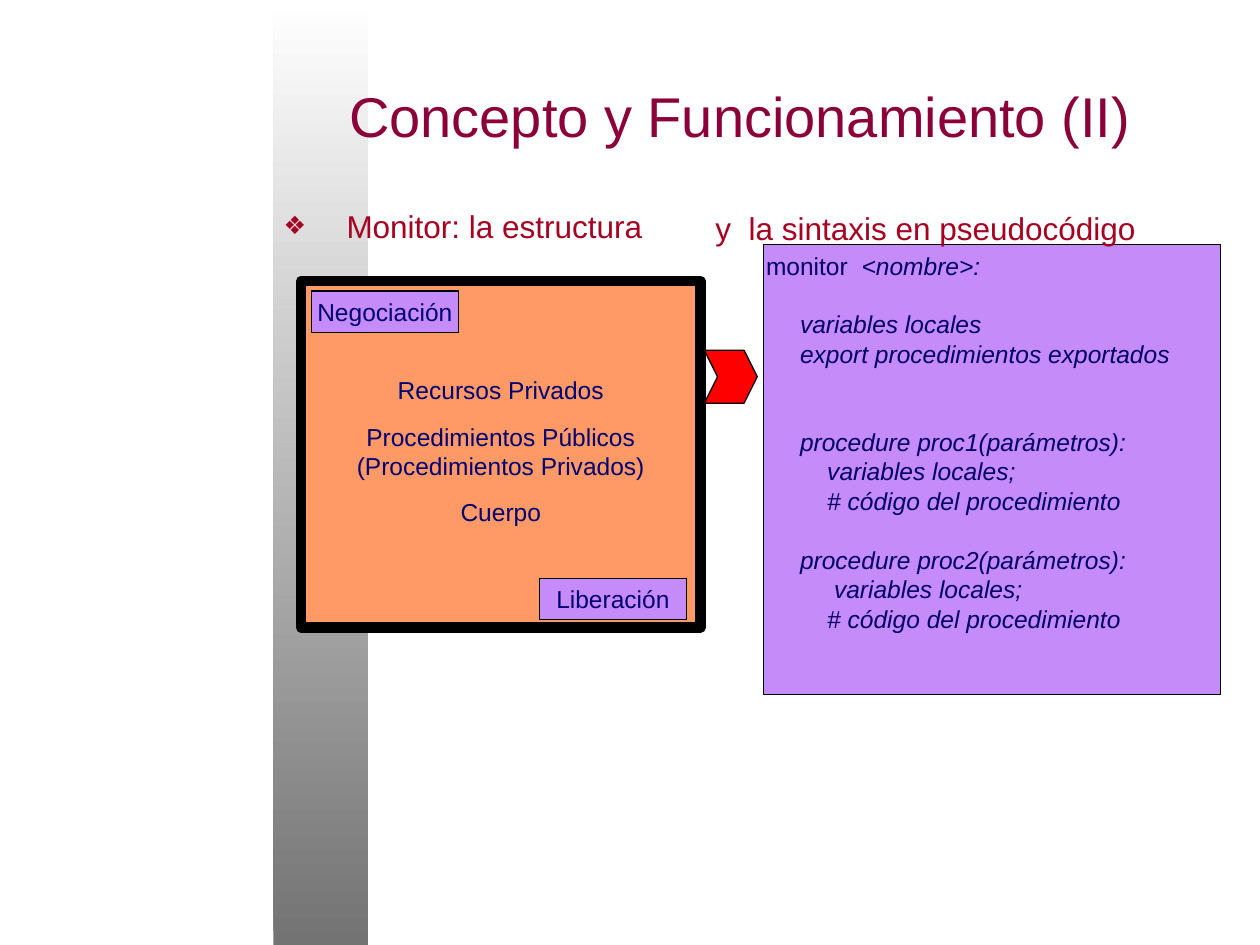
"""Builds the slide on the structure and pseudocode of a monitor."""
from lxml import etree
from pptx import Presentation
from pptx import util as u
from pptx.dml.color import RGBColor
from pptx.enum import shapes, text
from pptx.oxml.ns import qn

WINE, RED, NAVY, INDIGO = "8C0039", "A50021", "000066", "000072"
LILAC, ORANGE, BLACK = "C58BF9", "FF9966", "000000"
LINE = 16.8


def rgb(value):
    return RGBColor.from_string(value)


def write(p, content, size=14, color=NAVY, italic=False, font="Arial"):
    r = p.add_run()
    r.text = content
    r.font.name, r.font.size = font, u.Pt(size)
    r.font.italic, r.font.color.rgb = italic, rgb(color)


class Deck:
    COLS, ROWS = 100, 75

    def __init__(self, width=10, height=7.5):
        self.prs = Presentation()
        self.prs.slide_width, self.prs.slide_height = u.Inches(width), u.Inches(height)
        self.s = self.prs.slides.add_slide(self.prs.slide_layouts[1])

    def box(self, left, top, width, height):
        col = self.prs.slide_width / self.COLS
        row = self.prs.slide_height / self.ROWS
        return [round(n) for n in (left * col, top * row, width * col, height * row)]

    def frame(self, sp, anchor="TOP", side=0.1, top=0.05):
        tf = sp.text_frame
        tf.word_wrap, tf.auto_size = True, text.MSO_AUTO_SIZE.NONE
        tf.vertical_anchor = text.MSO_ANCHOR[anchor]
        tf.margin_left = tf.margin_right = u.Inches(side)
        tf.margin_top, tf.margin_bottom = u.Inches(top), u.Inches(0.05)
        return tf

    def lines(self, tf, rows, align="LEFT", **fmt):
        for i, (before, content) in enumerate(rows):
            p = tf.add_paragraph() if i else tf.paragraphs[0]
            p.alignment = text.PP_ALIGN[align]
            p.space_before = u.Pt(before)
            write(p, content, **fmt)

    def place(self, sp, at):
        sp.left, sp.top, sp.width, sp.height = self.box(*at)
        return sp

    def title(self, content, at):
        sp = self.place(self.s.shapes.title, at)
        self.lines(self.frame(sp, "MIDDLE"), [(0, content)], size=32, color=WINE)

    def bullet(self, content, at):
        sp = self.place(self.s.placeholders[1], at)
        tf = self.frame(sp)
        pPr = tf.paragraphs[0]._p.get_or_add_pPr()
        pPr.set("marL", str(u.Inches(0.5)))
        pPr.set("indent", str(-u.Inches(0.5)))
        color = etree.SubElement(pPr, qn("a:buClr"))
        etree.SubElement(color, qn("a:srgbClr"), val=RED)
        etree.SubElement(pPr, qn("a:buSzPct"), val="80000")
        etree.SubElement(pPr, qn("a:buFont"), typeface="Arial")
        etree.SubElement(pPr, qn("a:buChar"), char="❖")
        self.lines(tf, [(0, content)], size=18, color=RED)

    def label(self, content, at):
        sp = self.s.shapes.add_textbox(*self.box(*at))
        self.lines(self.frame(sp), [(0, content)], size=18, color=RED)

    def shape(self, at, fill, kind="RECTANGLE", weight=0.75):
        sp = self.s.shapes.add_shape(shapes.MSO_SHAPE[kind], *self.box(*at))
        sp.shadow.inherit = False
        sp.fill.solid()
        sp.fill.fore_color.rgb = rgb(fill)
        sp.line.color.rgb, sp.line.width = rgb(BLACK), u.Pt(weight)
        return sp

    def band(self, at, bottom, top):
        sp = self.shape(at, top)
        sp.line.fill.background()
        sp.fill.gradient()
        sp.fill.gradient_angle = 90
        for stop, value in zip(sp.fill.gradient_stops, (bottom, top)):
            stop.color.rgb = rgb(value)
        self.s.shapes._spTree.insert(2, sp._element)

    def panel(self, rows, at):
        tf = self.frame(self.shape(at, ORANGE, weight=6), side=0.02, top=0.75)
        self.lines(tf, rows, "CENTER", color=INDIGO)

    def tag(self, content, at):
        tf = self.frame(self.shape(at, LILAC), "MIDDLE", side=0.02)
        self.lines(tf, [(0, content)], "CENTER", color=INDIGO)

    def code(self, rows, at):
        tf = self.frame(self.shape(at, LILAC), side=0.02)
        write(tf.paragraphs[0], "monitor  ")
        self.lines(tf, rows, italic=True)

    def arrow(self, at):
        self.shape(at, "FF0000", "CHEVRON").adjustments[0] = 0.25


def main():
    deck = Deck()
    deck.band((21.7, 0, 7.5, 75), "737373", "FFFFFF")
    deck.title("Concepto y Funcionamiento (II)", (26.7, 2.5, 70, 13.3))
    deck.bullet("Monitor: la estructura", (21.5, 15.9, 31.5, 6.1))
    deck.panel([
        (0, "Recursos Privados"),
        (9.5, "Procedimientos Públicos"),
        (0, "(Procedimientos Privados)"),
        (9.5, "Cuerpo"),
    ], (23.9, 22.3, 31.7, 27.5))
    deck.tag("Negociación", (24.7, 23.1, 11.7, 3.3))
    deck.tag("Liberación", (42.8, 45.9, 11.7, 3.3))
    deck.code([
        (0, "<nombre>:"),
        (LINE, "     variables locales"),
        (0, "     export procedimientos exportados"),
        (2 * LINE, "     procedure proc1(parámetros):"),
        (0, "         variables locales;"),
        (0, "         # código del procedimiento"),
        (LINE, "     procedure proc2(parámetros):"),
        (0, "          variables locales;"),
        (0, "         # código del procedimiento"),
    ], (60.6, 19.4, 36.3, 35.7))
    deck.label("y  la sintaxis en pseudocódigo", (55.8, 16.1, 37, 4))
    deck.arrow((55.9, 27.8, 4.2, 4.2))
    deck.prs.save("out.pptx")


if __name__ == "__main__":
    main()
